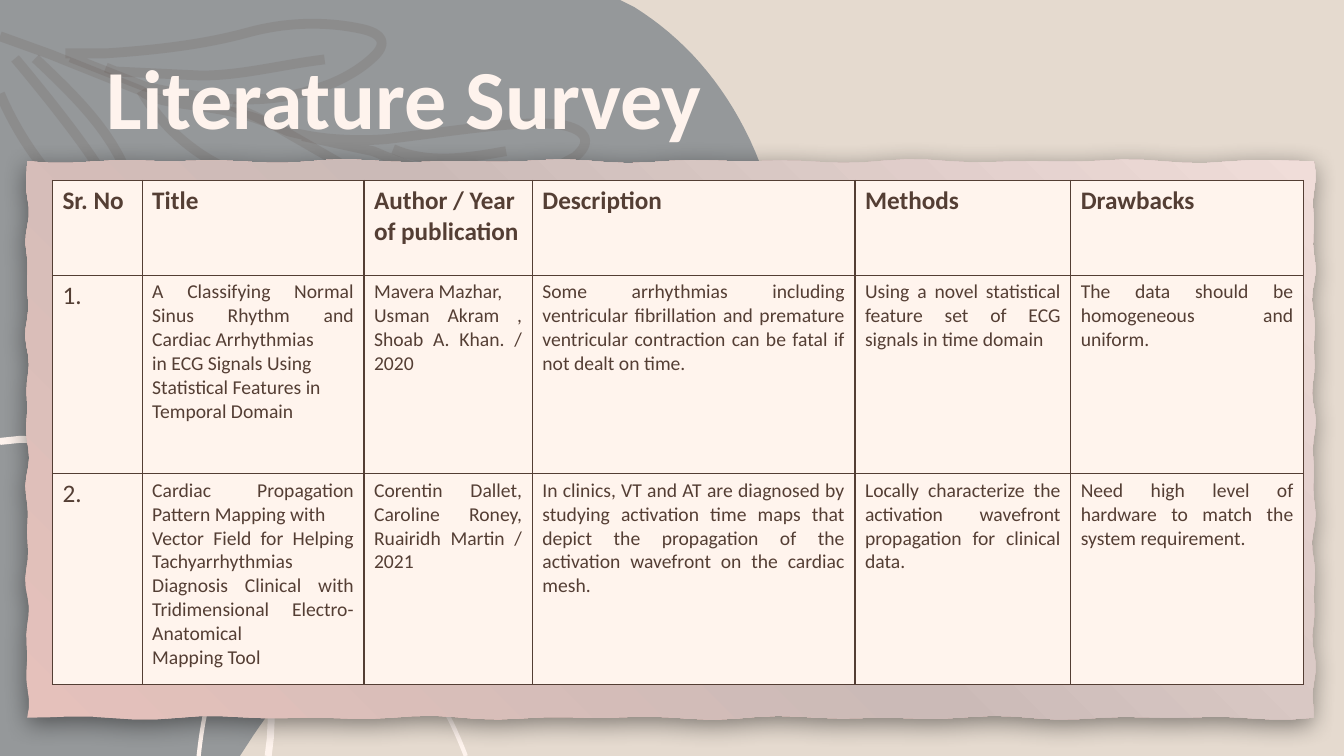
from copy import deepcopy
from math import sin

from lxml.etree import SubElement
from pptx import Presentation
from pptx.dml.color import RGBColor
from pptx.enum.text import MSO_ANCHOR, MSO_AUTO_SIZE, PP_ALIGN
from pptx.oxml import parse_xml
from pptx.oxml.ns import nsdecls, qn
from pptx.util import Inches, Pt

WIDTH, HEIGHT = 13.33, 7.5
SLATE, BROWN, CREAM, CELL, SAND = "5D6A76", "543E34", "FEF3ED", "FFF4ED", "E5DACF"
PAPER_COLOURS = ["E5C1BB", "CBBAB7", "F0DDD9"]
COLUMN_WIDTHS = [0.89, 2.2, 1.67, 3.2, 2.14, 2.31]
ROW_HEIGHTS = [0.94, 1.97, 2.09]

BLOB = [[(0, 0), (6.15, 0), (6.29, 0.07), (6.77, 0.37, 7.16, 0.8, 7.44, 1.39),
         (7.74, 2.03, 7.82, 2.73, 7.62, 3.48), (7.38, 4.37, 6.85, 4.95, 6.07, 5.27),
         (5.81, 5.38, 5.54, 5.42, 5.27, 5.47), (4.69, 5.58, 4.13, 5.77, 3.61, 6.13),
         (3.17, 6.44, 2.82, 6.84, 2.51, 7.3), (2.38, 7.5), (0, 7.5)]]
LEAVES = [
    [(0, 0.36), (0.5, 0.54), (1.4, 0.9), (1.6, 1.08, 2.2, 1, 2.73, 1.25), (3.65, 1.78)],
    [(0.65, 0.53), (1.05, 0.53), (1.5, 0.5, 2, 0.45, 2.47, 0.32),
     (2.8, 0.23, 3.2, 0.2, 3.6, 0.29), (3.85, 0.35, 3.8, 0.47, 3.72, 0.55),
     (3.55, 0.72, 3.3, 0.84, 3.1, 0.89), (2.6, 1.06, 2, 0.98, 1.44, 0.86), (0.7, 0.57)],
    [(1.05, 0.67), (1.15, 0.71), (2, 0.75), (2.4, 0.75, 2.8, 0.64, 3.22, 0.59)],
    [(2.3, 1.05), (2.85, 1.3), (3.2, 1.4, 3.6, 1.4, 3.84, 1.38),
     (4.5, 1.3, 5.1, 1.2, 5.5, 1.23), (5.8, 1.26, 5.9, 1.4, 5.7, 1.56),
     (5.1, 1.9, 4.5, 1.85, 3.7, 1.5), (3, 1.35)],
    [(3.9, 1.48), (4.24, 1.63, 4.63, 1.57, 5.02, 1.5)],
    [(0.35, 0.58), (0.9, 1.1, 1.3, 1.5, 1.4, 2.25)],
    [(0.15, 0.58), (0.5, 1, 0.9, 1.5, 1.1, 1.86)],
    [(0, 0.93), (0.2, 1.4, 0.6, 2, 1.1, 2.2)],
    [(1.4, 0.9), (1.6, 1.25, 1.9, 1.5, 2.2, 1.65)],
]
SMALL_ARC = [[(1.97, 7.5), (2.04, 6.86, 2.18, 6.49, 2.43, 6.3),
              (2.62, 6.15, 2.83, 6.12, 3, 6.12), (3.33, 6.14, 3.62, 6.23, 3.91, 6.45),
              (4.24, 6.7, 4.44, 7.03, 4.62, 7.5)]]
LARGE_ARC = [[(0, 4.38), (0.19, 4.36), (0.59, 4.36, 1.02, 4.46, 1.35, 4.64),
              (2.41, 5.19, 2.81, 6.56, 2.66, 7.5)]]

HEADINGS = ["Sr. No", "Title", "Author / Year of publication", "Description", "Methods",
            "Drawbacks"]
STUDIES = [
    ["1.",
     "A Classifying Normal Sinus Rhythm and Cardiac Arrhythmias\nin ECG Signals Using\n"
     "Statistical Features in\nTemporal Domain",
     "Mavera Mazhar,\nUsman Akram , Shoab A. Khan. / 2020",
     "Some arrhythmias including ventricular fibrillation and premature ventricular "
     "contraction can be fatal if not dealt on time.",
     "Using a novel statistical feature set of ECG signals in time domain",
     "The data should be homogeneous and uniform."],
    ["2.",
     "Cardiac Propagation Pattern Mapping with\nVector Field for Helping Tachyarrhythmias "
     "Diagnosis Clinical with Tridimensional Electro-Anatomical\nMapping Tool",
     "Corentin Dallet, Caroline Roney, Ruairidh Martin / 2021",
     "In clinics, VT and AT are diagnosed by studying activation time maps that depict the "
     "propagation of the activation wavefront on the cardiac mesh.",
     "Locally characterize the activation wavefront propagation for clinical data.",
     "Need high level of hardware to match the system requirement."],
]


def colour(value):
    """Turn a hex string into a colour."""
    return RGBColor.from_string(value)


def write(frame, text, size=14, ink=BROWN, bold=False, align=PP_ALIGN.LEFT, spacing=None):
    """Fill a text frame with one paragraph for each line of text."""
    for index, line in enumerate(text.split("\n")):
        para = frame.add_paragraph() if index else frame.paragraphs[0]
        para.alignment = align
        para.line_spacing = spacing
        span = para.add_run()
        span.text = line
        span.font.name, span.font.size, span.font.bold = "Calibri", Pt(size), bold
        span.font.color.rgb = colour(ink)


def trace(steps, count=16):
    """Return the points along a chain of straight and cubic steps."""
    points = [steps[0]]
    for step in steps[1:]:
        if len(step) == 2:
            points.append(step)
            continue
        start, first, second, end = points[-1], step[:2], step[2:4], step[4:]
        for number in range(1, count + 1):
            t = number / count
            weights = ((1 - t) ** 3, 3 * t * (1 - t) ** 2, 3 * t * t * (1 - t), t ** 3)
            points.append(tuple(sum(w * v for w, v in zip(weights, values))
                                for values in zip(start, first, second, end)))
    return points


def draw(page, contours, fill=None, line=None, weight=1, opacity=100):
    """Draw contours as one freeform, filled and closed or stroked and open."""
    builder = None
    for contour in contours:
        points = [(Inches(x), Inches(y)) for x, y in contour]
        if builder is None:
            builder = page.shapes.build_freeform(*points[0])
        else:
            builder.move_to(*points[0])
        builder.add_line_segments(points[1:], close=line is None)
    shape = builder.convert_to_shape()
    shape.shadow.inherit = False
    if fill:
        shape.fill.solid()
        shape.fill.fore_color.rgb = colour(fill)
    else:
        shape.fill.background()
    if line:
        shape.line.color.rgb = colour(line)
        shape.line.width = Pt(weight)
    else:
        shape.line.fill.background()
    if opacity < 100:
        tint = shape._element.spPr.find(".//" + qn("a:srgbClr"))
        SubElement(tint, qn("a:alpha"), val=str(opacity * 1000))
    return shape


def add_decor(page):
    """Draw the background blob, leaves and arcs."""
    page.background.fill.solid()
    page.background.fill.fore_color.rgb = colour(SAND)
    draw(page, map(trace, BLOB), fill=SLATE, opacity=59)
    draw(page, map(trace, LEAVES), line=BROWN, weight=7, opacity=13)
    draw(page, map(trace, SMALL_ARC), line=CREAM, weight=3)
    draw(page, map(trace, LARGE_ARC), line=CREAM, weight=5)


def add_title(page, box, text):
    """Place the title placeholder in front of the decor."""
    title = page.shapes.title
    title.left, title.top, title.width, title.height = map(Inches, box)
    frame = title.text_frame
    frame.auto_size, frame.vertical_anchor = MSO_AUTO_SIZE.NONE, MSO_ANCHOR.MIDDLE
    write(frame, text, size=60, ink=CREAM, bold=True, align=PP_ALIGN.CENTER, spacing=0.9)
    page.shapes._spTree.append(title._element)


def ripple(start, end, count=60):
    """Return the points of a slightly wavy edge."""
    (x1, y1), (x2, y2) = start, end
    points = []
    for number in range(count):
        share = number / count
        sway = 0.01 * (sin(43 * share) + sin(71 * share))
        across, down = (sway, 0) if x1 == x2 else (0, sway)
        points.append((x1 + (x2 - x1) * share + across, y1 + (y2 - y1) * share + down))
    return points


def add_paper(page, box):
    """Draw the torn paper panel with its gradient and shadow."""
    left, top, width, height = box
    right, bottom = left + width, top + height
    corners = [(left, top), (right, top), (right, bottom), (left, bottom)]
    edges = zip(corners, corners[1:] + corners[:1])
    paper = draw(page, [[point for start, end in edges for point in ripple(start, end)]])
    paper.fill.gradient()
    paper.fill.gradient_angle = 45
    stops = paper._element.spPr.find(".//" + qn("a:gsLst"))
    middle = deepcopy(stops[0])
    middle.set("pos", "50000")
    stops.insert(1, middle)
    for stop, value in zip(paper.fill.gradient_stops, PAPER_COLOURS):
        stop.color.rgb = colour(value)
    effects = paper._element.spPr.find(qn("a:effectLst"))
    effects.append(parse_xml(
        f'<a:outerShdw {nsdecls("a")} blurRad="{Pt(18)}" dist="{Pt(4)}" dir="5400000" '
        'algn="t" rotWithShape="0"><a:srgbClr val="000000"><a:alpha val="43000"/>'
        '</a:srgbClr></a:outerShdw>'))


def format_cell(cell):
    """Give a cell its fill and thin brown borders."""
    cell.fill.solid()
    cell.fill.fore_color.rgb = colour(CELL)
    for index, side in enumerate("LRTB"):
        cell._tc.tcPr.insert(index, parse_xml(
            f'<a:ln{side} {nsdecls("a")} w="{Pt(1)}"><a:solidFill><a:srgbClr val="{BROWN}"/>'
            f'</a:solidFill></a:ln{side}>'))


def add_survey(page, box):
    """Build the table of studies."""
    rows = [HEADINGS] + STUDIES
    table = page.shapes.add_table(len(rows), len(HEADINGS), *map(Inches, box)).table
    table.first_row = table.horz_banding = False
    for column, width in zip(table.columns, COLUMN_WIDTHS):
        column.width = Inches(width)
    for row, height, texts in zip(table.rows, ROW_HEIGHTS, rows):
        row.height = Inches(height)
        for index, (cell, text) in enumerate(zip(row.cells, texts)):
            format_cell(cell)
            heading = texts is HEADINGS
            large = heading or index == 0
            write(cell.text_frame, text, size=18 if large else 14, bold=heading,
                  align=PP_ALIGN.LEFT if large else PP_ALIGN.JUSTIFY)


def main():
    """Build and save the deck."""
    deck = Presentation()
    deck.slide_width, deck.slide_height = Inches(WIDTH), Inches(HEIGHT)
    page = deck.slides.add_slide(deck.slide_layouts[5])
    add_decor(page)
    add_title(page, (0, 0.29, 8.02, 1.45), "Literature Survey")
    add_paper(page, (0.27, 1.6, 12.76, 5.52))
    add_survey(page, (0.52, 1.79, sum(COLUMN_WIDTHS), sum(ROW_HEIGHTS)))
    deck.save("out.pptx")


if __name__ == "__main__":
    main()
